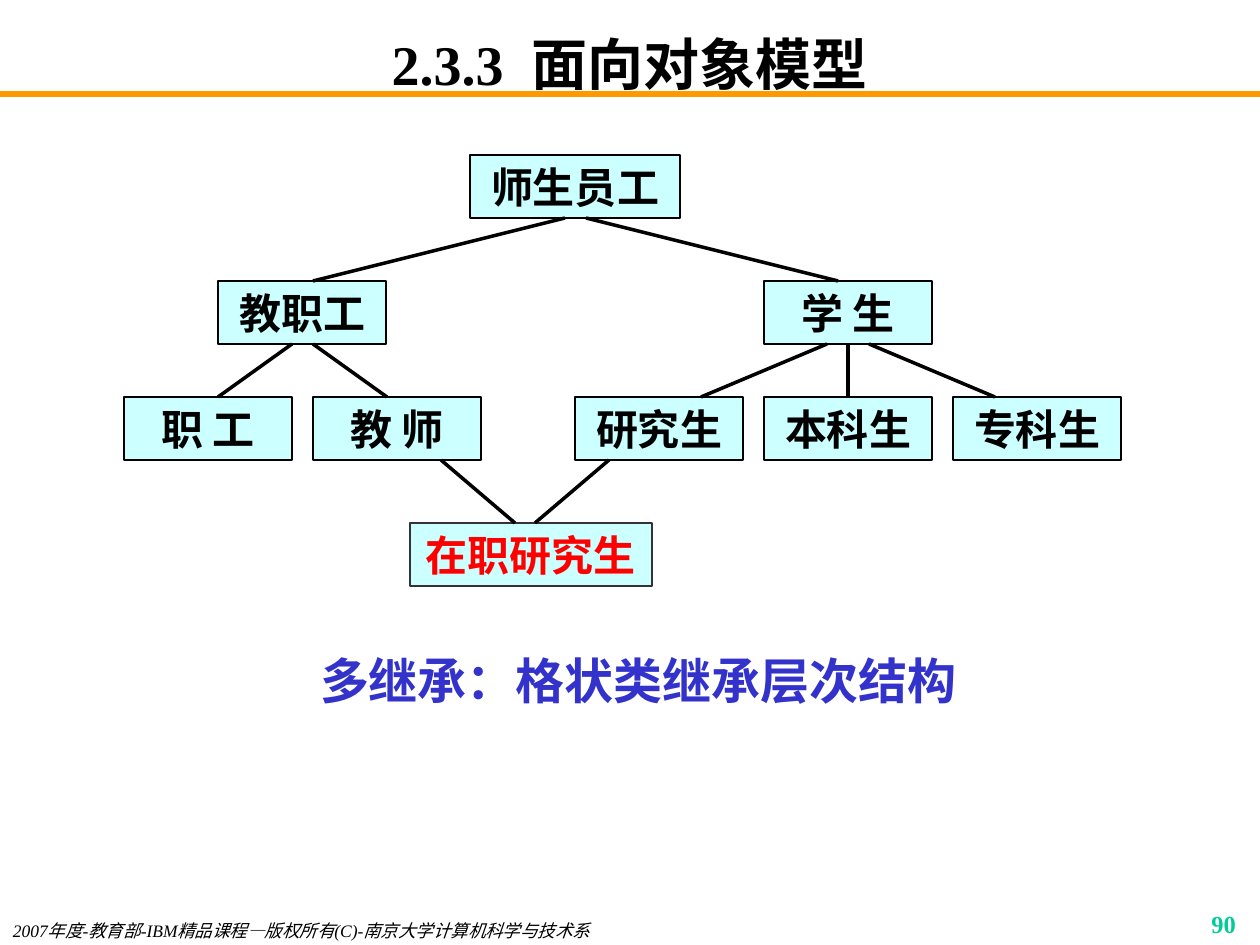
from lxml import etree
from pptx import Presentation
from pptx.dml.color import RGBColor
from pptx.enum.shapes import MSO_CONNECTOR, MSO_SHAPE
from pptx.enum.text import MSO_ANCHOR, MSO_AUTO_SIZE, PP_ALIGN
from pptx.oxml.ns import qn
from pptx.util import Pt

PX = 914400 / 126
LATIN, CJK = "Times New Roman", "Noto Sans CJK SC"
LEFT, CENTER, RIGHT = PP_ALIGN.LEFT, PP_ALIGN.CENTER, PP_ALIGN.RIGHT
TOP, MIDDLE = MSO_ANCHOR.TOP, MSO_ANCHOR.MIDDLE
BLACK, ORANGE, BLUE, GREEN = "000000", "FF9900", "3333CC", "00CC99"
RED, GREY, CYAN = "FF0000", "333333", "CCFFFF"

BOX_H = 63
LEVELS = [155, 281, 397, 523]
NODES = [
    (0, 470, 210, "师生员工"),
    (1, 218, 168, "教职工"),
    (1, 764, 168, "学 生"),
    (2, 124, 168, "职 工"),
    (2, 313, 168, "教 师"),
    (2, 575, 168, "研究生"),
    (2, 764, 168, "本科生"),
    (2, 953, 168, "专科生"),
]
LINKS = [
    (0, 565, 313), (0, 586, 838),
    (1, 292, 218), (1, 313, 387),
    (1, 827, 701), (1, 848, 848), (1, 869, 995),
    (2, 441, 515), (2, 609, 535),
]


def px(n):
    """Convert pixels to EMU."""
    return round(n * PX)


def rgb(color):
    """Turn a hex string into a colour."""
    return RGBColor.from_string(color)


def set_frame(tf, align, anchor=TOP, inset_x=13, inset_y=6):
    """Set wrapping, insets, anchor and alignment of a text frame."""
    tf.word_wrap = True
    tf.margin_left = tf.margin_right = px(inset_x)
    tf.margin_top = tf.margin_bottom = px(inset_y)
    tf.vertical_anchor = anchor
    tf.paragraphs[0].alignment = align


def add_run(tf, text, size, color, font=LATIN, bold=True, italic=False):
    """Add a styled run to the first paragraph."""
    r = tf.paragraphs[0].add_run()
    r.text = text
    r.font.size = Pt(size)
    r.font.bold, r.font.italic = bold, italic
    r.font.color.rgb = rgb(color)
    r.font.name = font
    etree.SubElement(r.font._element, qn("a:ea"), typeface=CJK)


def add_text(s, x, y, w, h, align, **frame):
    """Add an empty text box and return its text frame."""
    tf = s.shapes.add_textbox(px(x), px(y), px(w), px(h)).text_frame
    set_frame(tf, align, **frame)
    return tf


def add_node(s, level, x, w, text, color=BLACK, border=BLACK):
    """Add a class box on one level of the hierarchy."""
    sp = s.shapes.add_shape(MSO_SHAPE.RECTANGLE, px(x), px(LEVELS[level]), px(w), px(BOX_H))
    sp.shadow.inherit = False
    sp.fill.solid()
    sp.fill.fore_color.rgb = rgb(CYAN)
    sp.line.color.rgb = rgb(border)
    sp.line.width = Pt(1.39)
    set_frame(sp.text_frame, CENTER, anchor=MIDDLE)
    add_run(sp.text_frame, text, 24, color, font=CJK)


def add_line(s, x1, y1, x2, y2, color=BLACK, width=2):
    """Add a straight line without shadow."""
    cx = s.shapes.add_connector(MSO_CONNECTOR.STRAIGHT, px(x1), px(y1), px(x2), px(y2))
    cx.line.color.rgb = rgb(color)
    cx.line.width = Pt(width)
    etree.SubElement(cx._element.spPr, qn("a:effectLst"))


def add_link(s, level, x1, x2):
    """Join the bottom of one level to the top of the next."""
    add_line(s, x1, LEVELS[level] + BOX_H, x2, LEVELS[level + 1])


def main():
    """Build the slide and save it."""
    prs = Presentation()
    prs.slide_width, prs.slide_height = px(1260), px(945)
    s = prs.slides.add_slide(prs.slide_layouts[6])

    add_line(s, 0, 94, 1260, 94, ORANGE, 3)
    title = add_text(s, 94, 32, 1072, 63, CENTER, anchor=MIDDLE, inset_y=0)
    add_run(title, "2.3.3  面向对象模型", 32, BLACK)
    footer = add_text(s, 0, 914, 693, 31, LEFT)
    add_run(footer, "2007年度-教育部-IBM精品课程—版权所有(C)-南京大学计算机科学与技术系",
            10, BLACK, bold=False, italic=True)
    number = add_text(s, 987, 903, 262, 32, RIGHT)
    add_run(number, "90", 14, GREEN)
    caption = add_text(s, 302, 651, 672, 59, CENTER, inset_x=0, inset_y=0)
    caption.auto_size = MSO_AUTO_SIZE.SHAPE_TO_FIT_TEXT
    add_run(caption, "多继承：", 28, BLUE)
    add_run(caption, "格状类继承层次结构", 28, BLUE, font=CJK)

    for node in NODES:
        add_node(s, *node)
    add_node(s, 3, 410, 242, "在职研究生", RED, GREY)
    for link in LINKS:
        add_link(s, *link)

    prs.save("out.pptx")


if __name__ == "__main__":
    main()
